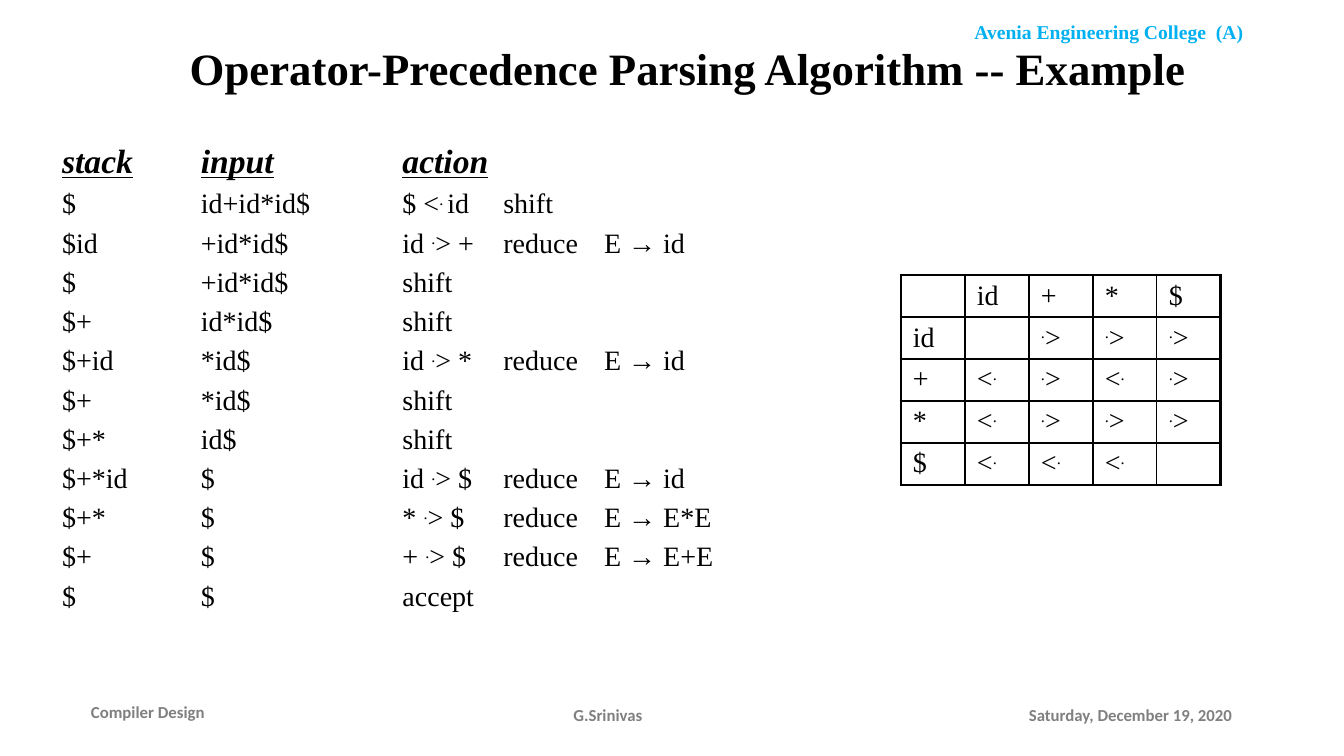
import pptx
import pptx.util
import pptx.dml.color
import pptx.enum.text
import pptx.oxml.ns
import lxml.etree

SCALE = 914400 / 100.8
ALIGN = pptx.enum.text.PP_ALIGN
MIDDLE = pptx.enum.text.MSO_ANCHOR.MIDDLE
TOP = pptx.enum.text.MSO_ANCHOR.TOP


def px(n):
    return pptx.util.Emu(round(n * SCALE))


def rgb(code):
    return pptx.dml.color.RGBColor.from_string(code)


def node(parent, tag, **attrs):
    return lxml.etree.SubElement(parent, pptx.oxml.ns.qn("a:" + tag), attrs)


def write(para, text, size=20, font="Times New Roman", color="000000",
          bold=False, italic=False, under=False, align=ALIGN.LEFT):
    def add(part, line, lift):
        run = para.add_run()
        run.text = part
        face = run.font
        face.name, face.size = font, pptx.util.Pt(size)
        face.bold, face.italic, face.underline = bold, italic, line
        face.color.rgb = rgb(color)
        if lift:
            run._r.get_or_add_rPr().set("baseline", "30000")

    para.alignment = align
    for col, field in enumerate(text.split("\t")):
        if col:
            add("\t", False, False)
        for i, part in enumerate(field.split("^")):
            if part:
                add(part, under, i % 2 == 1)


class Page:
    def __init__(self, width, height):
        self.deck = pptx.Presentation()
        self.deck.slide_width, self.deck.slide_height = px(width), px(height)
        self.slide = self.deck.slides.add_slide(self.deck.slide_layouts[1])
        self.shapes = self.slide.shapes

    def place(self, shape, box, anchor):
        shape.left, shape.top, shape.width, shape.height = map(px, box)
        frame = shape.text_frame
        frame.word_wrap = True
        frame.auto_size = pptx.enum.text.MSO_AUTO_SIZE.NONE
        frame.vertical_anchor = anchor
        return frame

    def title(self, text, box):
        frame = self.place(self.shapes.title, box, MIDDLE)
        write(frame.paragraphs[0], text, size=32, bold=True, align=ALIGN.CENTER)

    def trace(self, head, steps, box, hang):
        frame = self.place(self.slide.placeholders[1], box, TOP)
        for i, line in enumerate([head] + steps):
            para = frame.add_paragraph() if i else frame.paragraphs[0]
            props = para._p.get_or_add_pPr()
            props.set("marL", str(px(hang)))
            props.set("indent", str(px(-hang)))
            props.set("defTabSz", str(pptx.util.Inches(1)))
            node(props, "buNone")
            para.space_before = pptx.util.Pt(4 if i else 5)
            if i:
                write(para, line)
            else:
                write(para, line, size=24, bold=True, italic=True, under=True)

    def label(self, text, box, anchor=TOP, **style):
        shape = self.shapes.add_textbox(*map(px, box))
        frame = self.place(shape, box, anchor)
        write(frame.paragraphs[0], text, bold=True, **style)

    def grid(self, rows, left, top, wide, high):
        count, span = len(rows), len(rows[0])
        table = self.shapes.add_table(
            count, span, px(left), px(top), px(wide * span), px(high * count)).table
        table.first_row = table.horz_banding = False
        for col in table.columns:
            col.width = px(wide)
        for r, row in enumerate(rows):
            table.rows[r].height = px(high)
            for c, text in enumerate(row):
                cell = table.cell(r, c)
                cell.margin_left = cell.margin_right = px(12)
                cell.margin_top = cell.margin_bottom = px(5)
                write(cell.text_frame.paragraphs[0], text)
                self.edge(cell, L=c == 0, R=c == span - 1,
                          T=r == 0, B=r == count - 1)

    def edge(self, cell, **outer):
        props = cell._tc.get_or_add_tcPr()
        for side, thick in outer.items():
            width = pptx.util.Pt(2.25 if thick else 1)
            line = node(props, "ln" + side, w=str(width))
            node(node(line, "solidFill"), "srgbClr", val="000000")
        cell.fill.background()


def main():
    page = Page(1344, 756)
    page.label("Avenia Engineering College  (A)", (916, 15, 386, 34),
               size=14, color="00B0F0", align=ALIGN.CENTER)
    foot = dict(size=12, font="Calibri", color="808080")
    page.label("Saturday, December 19, 2020", (1019, 700, 232, 40), **foot)
    page.label("G.Srinivas", (457, 700, 302, 40), align=ALIGN.CENTER, **foot)
    page.label("Compiler Design", (81, 692, 213, 40), anchor=MIDDLE,
               align=ALIGN.JUSTIFY, **foot)
    page.title("Operator-Precedence Parsing Algorithm -- Example",
               (52, 17, 1272, 101))

    steps = [
        "$\t\tid+id*id$\t$ <^. ^id\tshift",
        "$id\t\t+id*id$\t\tid ^.^> +\treduce\tE → id",
        "$\t\t+id*id$\t\tshift",
        "$+\t\tid*id$\t\tshift",
        "$+id\t*id$\t\tid ^.^> *\treduce\tE → id",
        "$+\t\t*id$\t\tshift",
        "$+*\tid$\t\tshift",
        "$+*id\t$\t\tid ^.^> $\treduce\tE → id",
        "$+*\t$\t\t* ^.^> $\treduce\tE → E*E",
        "$+\t\t$\t\t+ ^.^> $\treduce\tE → E+E",
        "$\t\t$\t\taccept",
    ]
    page.trace("stack\tinput\t\taction", steps, (52, 135, 1272, 562), 38)

    less, more = "<^.^", "^.^>"
    page.grid([
        ["", "id", "+", "*", "$"],
        ["id", "", more, more, more],
        ["+", less, more, less, more],
        ["*", less, more, more, more],
        ["$", less, less, less, ""],
    ], 901, 275, 64, 42)
    page.deck.save("out.pptx")


if __name__ == "__main__":
    main()
